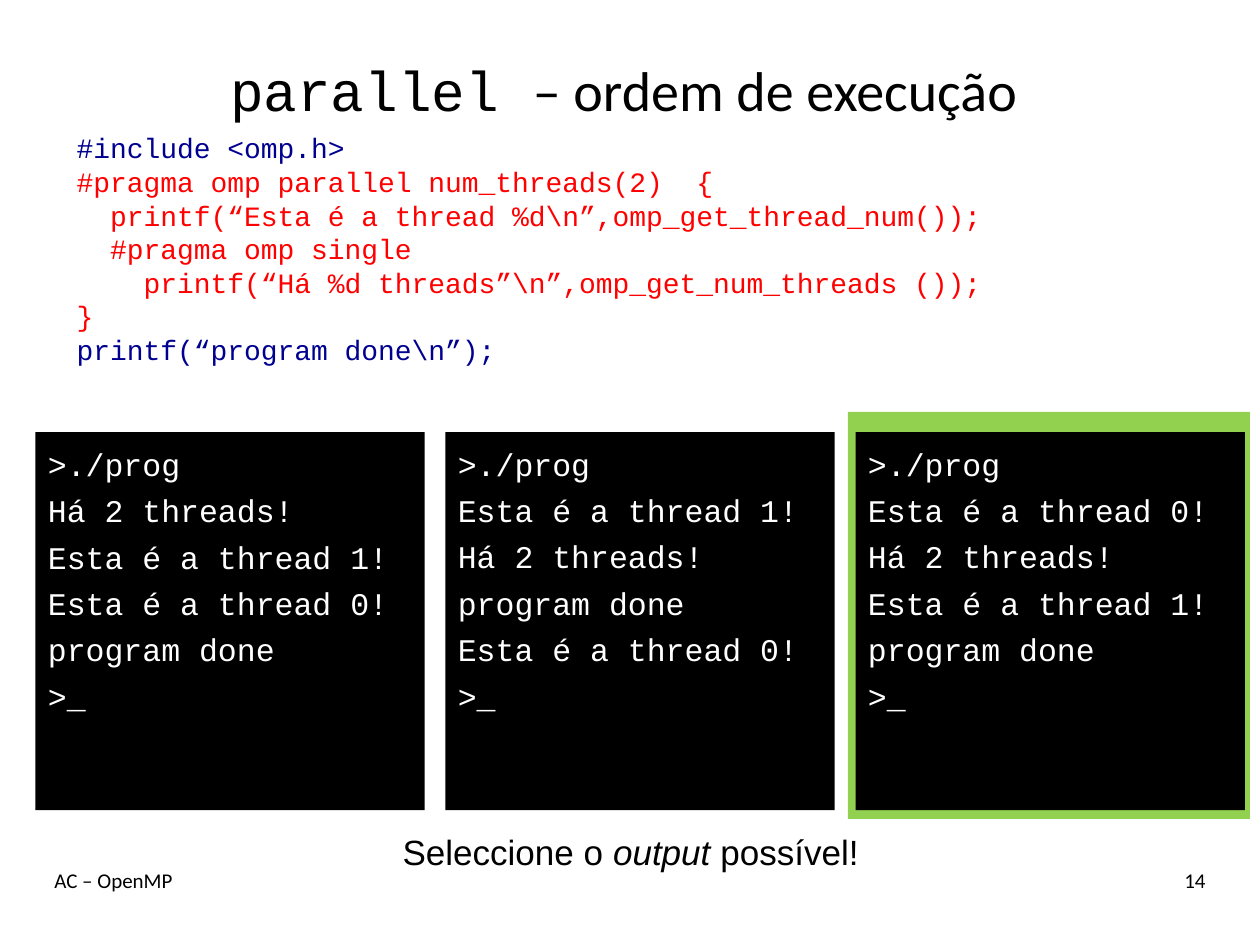
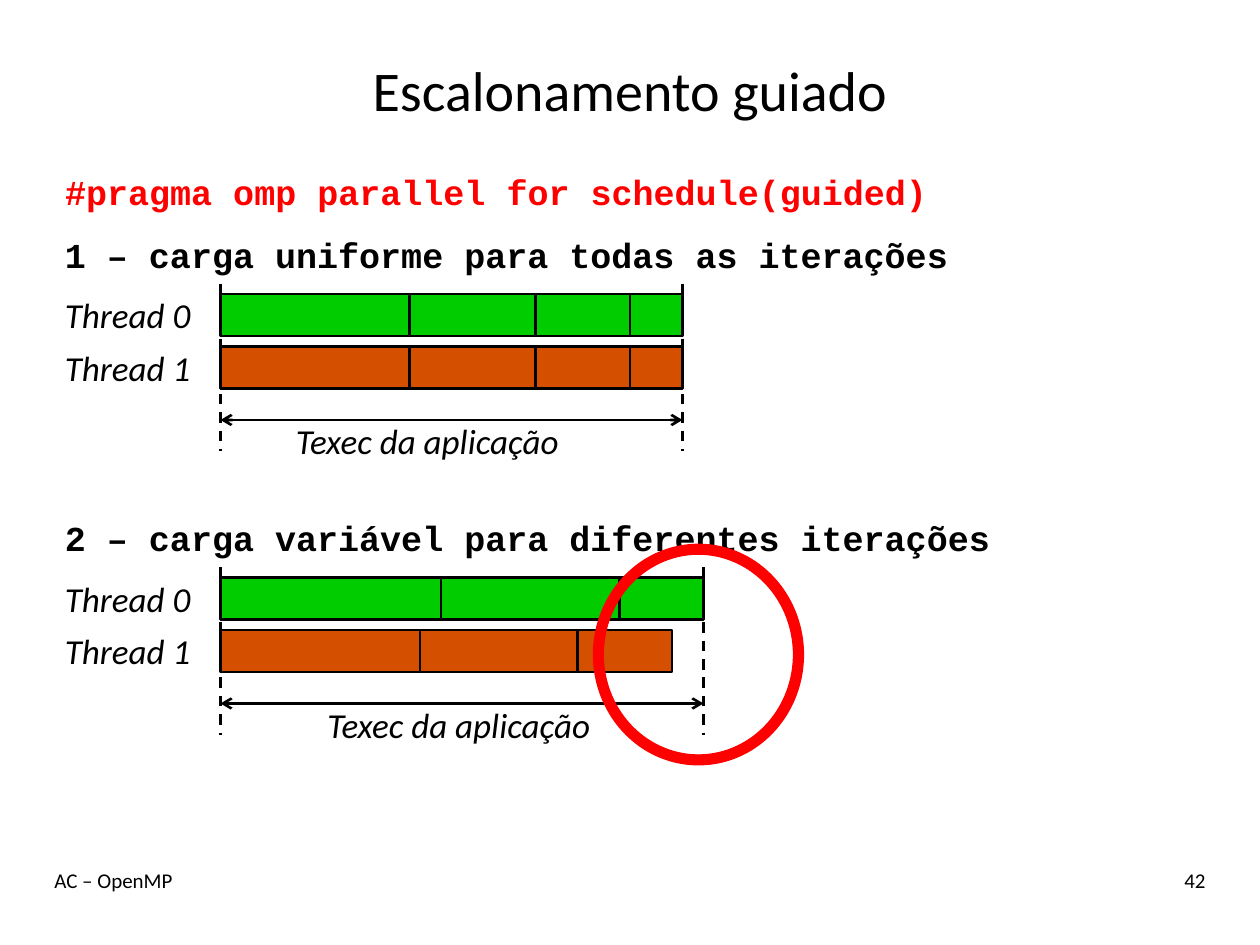
from lxml.etree import SubElement
from pptx import Presentation
from pptx.dml.color import RGBColor
from pptx.enum.dml import MSO_LINE_DASH_STYLE as Dash
from pptx.enum.shapes import MSO_CONNECTOR as Connector, MSO_SHAPE as Shape
from pptx.enum.text import MSO_ANCHOR as Anchor, MSO_AUTO_SIZE as AutoSize, PP_ALIGN as Align
from pptx.oxml.ns import qn
from pptx.util import Inches, Pt

BLACK, WHITE, RED, NAVY = "000000", "FFFFFF", "FF0000", "000090"
GREEN, ORANGE, LIME = "00CC00", "D45000", "92D050"
SANS, MONO = "Calibri", "Courier New"
UNIT = Inches(1) // 12  # the grid has twelve units to the inch
rgb = RGBColor.from_string


def write(box, *lines, size=20, font=SANS, color=BLACK, bold=False, italic=False,
          align=Align.LEFT, anchor=Anchor.TOP, gap=0, top=0.05, wrap=True):
    """Fill a box; a line is a string or a list of (text, format changes) spans."""
    frame = box.text_frame
    frame.auto_size, frame.word_wrap = AutoSize.NONE, wrap
    frame.vertical_anchor, frame.margin_top = anchor, Inches(top)
    for index, line in enumerate(lines):
        para = frame.add_paragraph() if index else frame.paragraphs[0]
        properties = para._p.get_or_add_pPr()
        properties.set("marL", "0")
        properties.set("indent", "0")
        SubElement(properties, qn("a:buNone"))
        para.alignment = align
        para.space_before = Pt(gap if index else 0)
        for text, changes in [(line, {})] if isinstance(line, str) else line:
            span = para.add_run()
            span.text = text
            span.font.size = Pt(size)
            span.font.name = changes.get("font", font)
            span.font.color.rgb = rgb(changes.get("color", color))
            span.font.bold = bold
            span.font.italic = changes.get("italic", italic)


def paint(shape, fill, line=None, width=1.5):
    shape.fill.solid()
    shape.fill.fore_color.rgb = rgb(fill)
    if hasattr(shape, "shadow"):
        shape.shadow.inherit = False
    if line:
        shape.line.color.rgb = rgb(line)
        shape.line.width = Pt(width)
    else:
        shape.line.fill.background()


deck = Presentation()
deck.slide_width, deck.slide_height = Inches(10), Inches(7.5)

# Titles and footers
pages = []
for title, number in [
    ([("parallel ", {"font": MONO}), ("– ordem de execução ", {})], "14"),
    ("Escalonamento guiado", "42"),
]:
    page = deck.slides.add_slide(deck.slide_layouts[1])
    heading = page.shapes.title
    heading.left, heading.top, heading.width, heading.height = (
        4 * UNIT, 3 * UNIT, 112 * UNIT, 11 * UNIT)
    write(heading, title, size=32, align=Align.CENTER, anchor=Anchor.MIDDLE)
    for text, left, width, align in [("AC – OpenMP", 4, 84, Align.LEFT),
                                     (number, 100, 16, Align.RIGHT)]:
        footer = page.shapes.add_textbox(left * UNIT, 82 * UNIT, width * UNIT, 6 * UNIT)
        write(footer, text, size=12, align=align)
    pages.append(page)
order_page, guided_page = pages

# Execution order: code, three terminals and the question
shapes = order_page.shapes
answer = shapes.add_shape(Shape.RECTANGLE, Inches(6.73), Inches(3.27), Inches(3.19), Inches(3.23))
paint(answer, LIME)
shapes.title.element.addprevious(answer.element)

code = shapes.add_textbox(Inches(0.51), Inches(0.99), Inches(7.76), Inches(1.99))
write(code,
      [("#include <omp.h>", {"color": NAVY})],
      "#pragma omp parallel num_threads(2)  {",
      "  printf(“Esta é a thread %d\\n”,omp_get_thread_num());",
      "  #pragma omp single",
      "    printf(“Há %d threads”\\n”,omp_get_num_threads ());",
      "}",
      [("printf(“program done\\n”);", {"color": NAVY})],
      size=16, font=MONO, color=RED, wrap=False)

count, first, second, done = (
    "Há 2 threads!", "Esta é a thread 0!", "Esta é a thread 1!", "program done")
outputs = [(count, second, first, done),
           (second, count, done, first),
           (first, count, second, done)]
terminal_width, terminal_height = Inches(3.09), Inches(3)
for column, output in enumerate(outputs):
    left, top = Inches(0.28 + 3.255 * column), Inches(3.43)
    if column:
        terminal = shapes.add_shape(Shape.RECTANGLE, left, top, terminal_width, terminal_height)
    else:
        terminal = shapes.placeholders[1]
        terminal.left, terminal.top = left, top
        terminal.width, terminal.height = terminal_width, terminal_height
    paint(terminal, BLACK)
    write(terminal, ">./prog", *output, ">_", size=18, font=MONO, color=WHITE, gap=4.9, top=0.1)

question = shapes.add_textbox(Inches(3.08), Inches(6.54), Inches(3.85), Inches(0.44))
write(question, [("Seleccione o ", {}), ("output ", {"italic": True}), ("possível!", {})],
      font="Arial", align=Align.CENTER, wrap=False)

# Guided scheduling: two timelines, each with one bar of chunks per thread
pragma = guided_page.shapes.placeholders[1]
pragma.left, pragma.top, pragma.width, pragma.height = 5 * UNIT, 15 * UNIT, 111 * UNIT, 7 * UNIT
write(pragma, "#pragma omp parallel for schedule(guided)", font=MONO, color=RED, bold=True, top=0.1)

START = 21
timelines = [
    ("1 – carga uniforme para todas as iterações", 27, 27, [(18, 12, 9, 5), (18, 12, 9, 5)]),
    ("2 – carga variável para diferentes iterações", 54, 30, [(21, 17, 8), (19, 15, 9)]),
]
for caption, top, time_left, threads in timelines:
    shapes = guided_page.shapes.add_group_shape().shapes
    box = shapes.add_textbox(5 * UNIT, (top - 6) * UNIT, 111 * UNIT, 7 * UNIT)
    write(box, caption, font=MONO, bold=True, top=0.1)

    labels = [("Texec da aplicação", time_left, top + 12, 32)]
    labels += [(f"Thread {row}", 5, top + 5 * row, 16) for row in range(len(threads))]
    for text, left, label_top, width in labels:
        box = shapes.add_textbox(left * UNIT, label_top * UNIT, width * UNIT, 6 * UNIT)
        write(box, text, italic=True, top=0.08)

    for row, (chunks, color) in enumerate(zip(threads, (GREEN, ORANGE))):
        left = START
        for chunk in chunks:
            bar = shapes.add_shape(Shape.RECTANGLE, left * UNIT, (top + 1 + 5 * row) * UNIT,
                                   chunk * UNIT, 4 * UNIT)
            paint(bar, color, BLACK)
            left += chunk

    end = START + max(sum(chunks) for chunks in threads)
    for x1, y1, x2, y2 in [(START, top, START, top + 16),
                           (end, top, end, top + 16),
                           (START, top + 13, end, top + 13)]:
        rule = shapes.add_connector(Connector.STRAIGHT, x1 * UNIT, y1 * UNIT, x2 * UNIT, y2 * UNIT)
        rule.line.color.rgb = rgb(BLACK)
        rule.line.width = Pt(1.5)
        SubElement(rule.element.spPr, qn("a:effectLst"))
        if x1 == x2:
            rule.line.dash_style = Dash.DASH
        else:
            for tip in ("a:headEnd", "a:tailEnd"):
                SubElement(rule.line._get_or_add_ln(), qn(tip), type="arrow")

imbalance = guided_page.shapes.add_shape(Shape.DONUT, Inches(4.71), Inches(4.32),
                                         20 * UNIT, 21 * UNIT)
imbalance.adjustments[0] = 0.047
paint(imbalance, RED, RED, 0.75)

deck.save("out.pptx")
